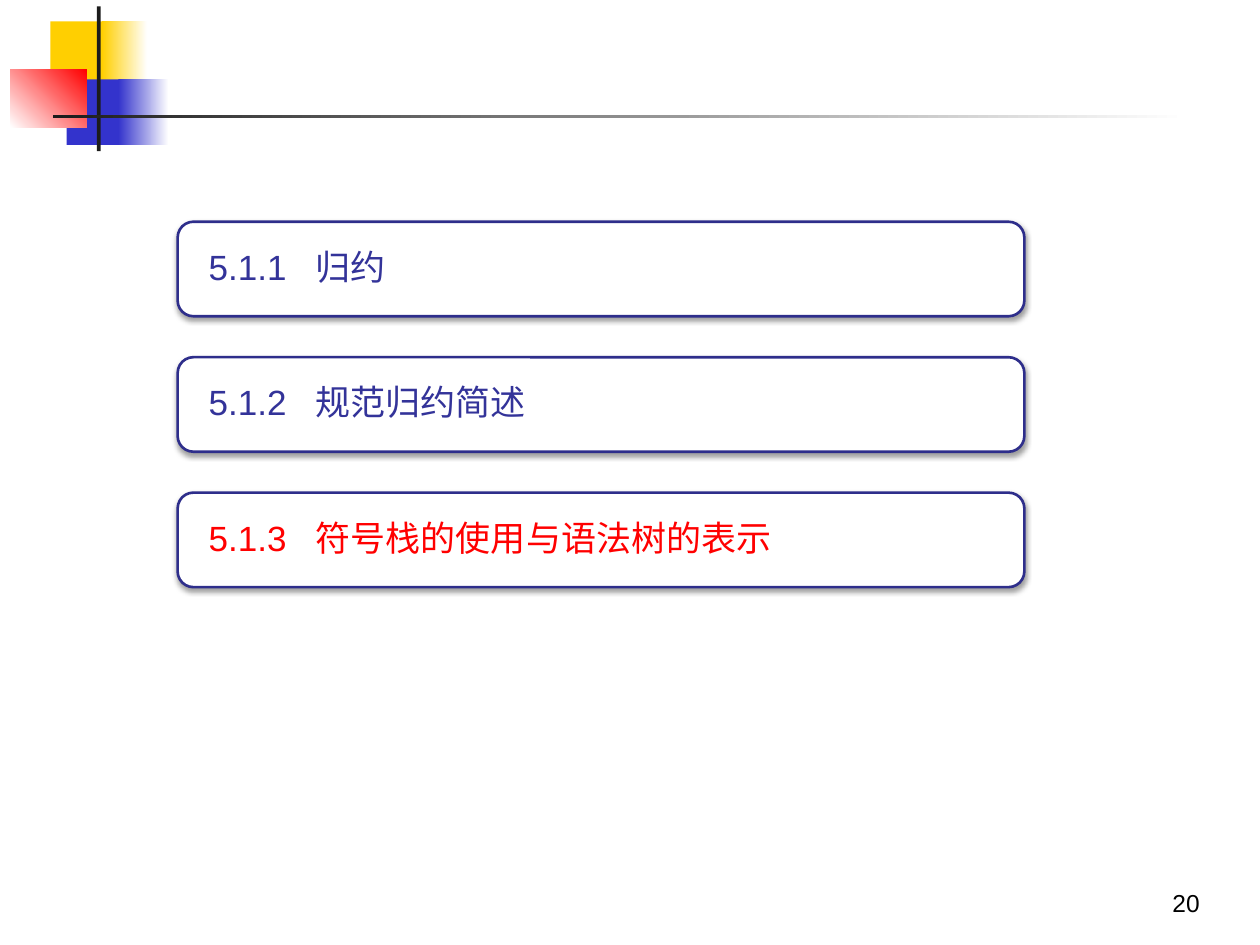
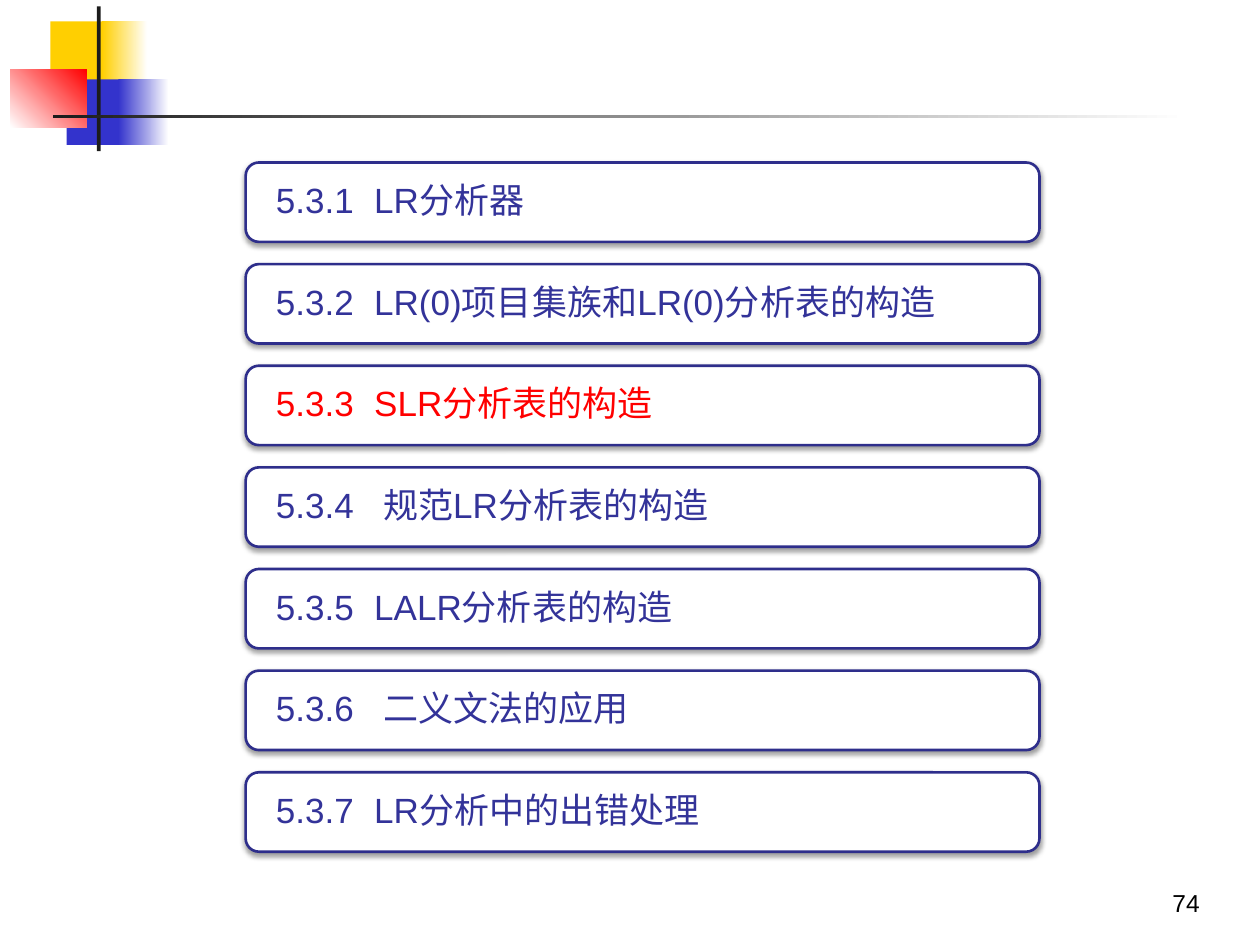
"""Build two chapter outline slides that highlight the current section."""
from dataclasses import dataclass

from lxml import etree
from pptx import Presentation
from pptx.dml.color import RGBColor
from pptx.enum.shapes import MSO_SHAPE
from pptx.enum.text import MSO_ANCHOR, PP_ALIGN
from pptx.oxml.ns import qn
from pptx.util import Inches, Pt

RECT, ROUNDED = MSO_SHAPE.RECTANGLE, MSO_SHAPE.ROUNDED_RECTANGLE
MIDDLE, BOTTOM = MSO_ANCHOR.MIDDLE, MSO_ANCHOR.BOTTOM
LEFT, RIGHT = PP_ALIGN.LEFT, PP_ALIGN.RIGHT
SLIDE_W, SLIDE_H = Inches(10), Inches(7.5)
COL, ROW = SLIDE_W / 10, SLIDE_H / 7.5


@dataclass(frozen=True)
class Theme:
    """Colours, font and type sizes of the deck."""
    white: str = "FFFFFF"
    yellow: str = "FFCF01"
    blue: str = "3333CC"
    red: str = "FF0000"
    dark: str = "1C1C1C"
    border: str = "2E2E8B"
    text: str = "333399"
    black: str = "000000"
    font: str = "Arial"
    item_size: int = 20
    number_size: int = 14


THEME = Theme()

DECOR = [
    ((0.4, 0.17, 0.48, 0.52), [THEME.yellow], 0),
    ((0.81, 0.17, 0.36, 0.52), [THEME.yellow, THEME.white], 0),
    ((0.53, 0.63, 0.46, 0.52), [THEME.blue], 0),
    ((0.94, 0.63, 0.4, 0.52), [THEME.blue, THEME.white], 0),
    ((0.08, 0.55, 0.61, 0.46), [THEME.white, THEME.red], 45),
    ((0.77, 0.05, 0.03, 1.15), [THEME.dark], 0),
    ((0.42, 0.91, 9, 0.03), [THEME.dark, THEME.white], 0),
]

REDUCTION = [
    ("5.1.1", "归约"),
    ("5.1.2", "规范归约简述"),
    ("5.1.3", "符号栈的使用与语法树的表示"),
]

LR_PARSING = [
    ("5.3.1", "LR分析器"),
    ("5.3.2", "LR(0)项目集族和LR(0)分析表的构造"),
    ("5.3.3", "SLR分析表的构造"),
    ("5.3.4", "规范LR分析表的构造"),
    ("5.3.5", "LALR分析表的构造"),
    ("5.3.6", "二义文法的应用"),
    ("5.3.7", "LR分析中的出错处理"),
]


def rgb(color):
    """Turn a hex string into a colour."""
    return RGBColor.from_string(color)


def place(left, top, width, height):
    """Convert grid columns and rows to slide lengths."""
    return int(left * COL), int(top * ROW), int(width * COL), int(height * ROW)


def paint(sp, colors, angle=0):
    """Fill a shape with one colour or a two-stop gradient."""
    if len(colors) == 1:
        sp.fill.solid()
        sp.fill.fore_color.rgb = rgb(colors[0])
        return
    sp.fill.gradient()
    sp.fill.gradient_angle = angle
    for stop, color, position in zip(sp.fill.gradient_stops, colors, (0, 1)):
        stop.color.rgb = rgb(color)
        stop.position = position


def style_text(p, size, color, align):
    """Format a whole paragraph."""
    p.alignment = align
    p.font.name = THEME.font
    p.font.size = Pt(size)
    p.font.color.rgb = rgb(color)


def add_soft_shadow(sp):
    """Give a shape a small blurred shadow below it."""
    sp.shadow.inherit = False
    effects = sp.element.spPr.find(qn("a:effectLst"))
    shadow = etree.SubElement(effects, qn("a:outerShdw"), blurRad=str(Pt(3.1)),
                              dist=str(Pt(1.6)), dir="5400000", rotWithShape="0")
    color = etree.SubElement(shadow, qn("a:srgbClr"), val=THEME.black)
    etree.SubElement(color, qn("a:alpha"), val="38000")


def add_tab_stop(p, position):
    """Set the one tab stop of a paragraph."""
    tabs = etree.SubElement(p._p.get_or_add_pPr(), qn("a:tabLst"))
    etree.SubElement(tabs, qn("a:tab"), pos=str(position), algn="l")


def decorate_layout(layout, slide):
    """Draw the corner squares and rules and move them to the layout."""
    for box, colors, angle in DECOR:
        sp = slide.shapes.add_shape(RECT, *place(*box))
        sp.shadow.inherit = False
        sp.line.fill.background()
        paint(sp, colors, angle)
        layout.shapes.element.append(sp.element)


def add_page_number(slide, number):
    """Write the page number at the bottom right."""
    tf = slide.shapes.add_textbox(*place(7.54, 6.83, 2.08, 0.5)).text_frame
    tf.word_wrap = True
    tf.vertical_anchor = BOTTOM
    p = tf.paragraphs[0]
    p.text = str(number)
    style_text(p, THEME.number_size, THEME.black, RIGHT)


def add_section(slide, box, number, heading, color):
    """Add one rounded box with a section number and heading."""
    sp = slide.shapes.add_shape(ROUNDED, *place(*box))
    paint(sp, [THEME.white])
    sp.line.color.rgb = rgb(THEME.border)
    sp.line.width = Pt(1.5)
    add_soft_shadow(sp)
    tf = sp.text_frame
    tf.word_wrap = True
    tf.vertical_anchor = MIDDLE
    tf.margin_left = tf.margin_right = Inches(0.21)
    tf.margin_top = tf.margin_bottom = 0
    p = tf.paragraphs[0]
    p.text = f"{number}\t{heading}"
    add_tab_stop(p, Inches(0.78 if heading[0].isascii() else 0.85))
    p.line_spacing = 0.9
    p.space_after = Pt(7)
    style_text(p, THEME.item_size, color, LEFT)


def add_outline(slide, sections, current, first_box, last_top):
    """Stack the sections at equal steps and highlight the current one."""
    left, top, width, height = first_box
    step = (last_top - top) / (len(sections) - 1)
    for i, (number, heading) in enumerate(sections):
        color = THEME.red if number == current else THEME.text
        add_section(slide, (left, top + i * step, width, height),
                    number, heading, color)


def main():
    """Build and save the deck."""
    prs = Presentation()
    prs.slide_width, prs.slide_height = SLIDE_W, SLIDE_H
    layout = prs.slide_layouts[6]
    reduction, lr_parsing = (prs.slides.add_slide(layout) for _ in range(2))
    decorate_layout(layout, reduction)
    add_page_number(reduction, 20)
    add_outline(reduction, REDUCTION, "5.1.3", (1.41, 1.76, 6.72, 0.75), 3.91)
    add_page_number(lr_parsing, 74)
    add_outline(lr_parsing, LR_PARSING, "5.3.3", (1.95, 1.29, 6.3, 0.63), 6.13)
    prs.save("out.pptx")


if __name__ == "__main__":
    main()
